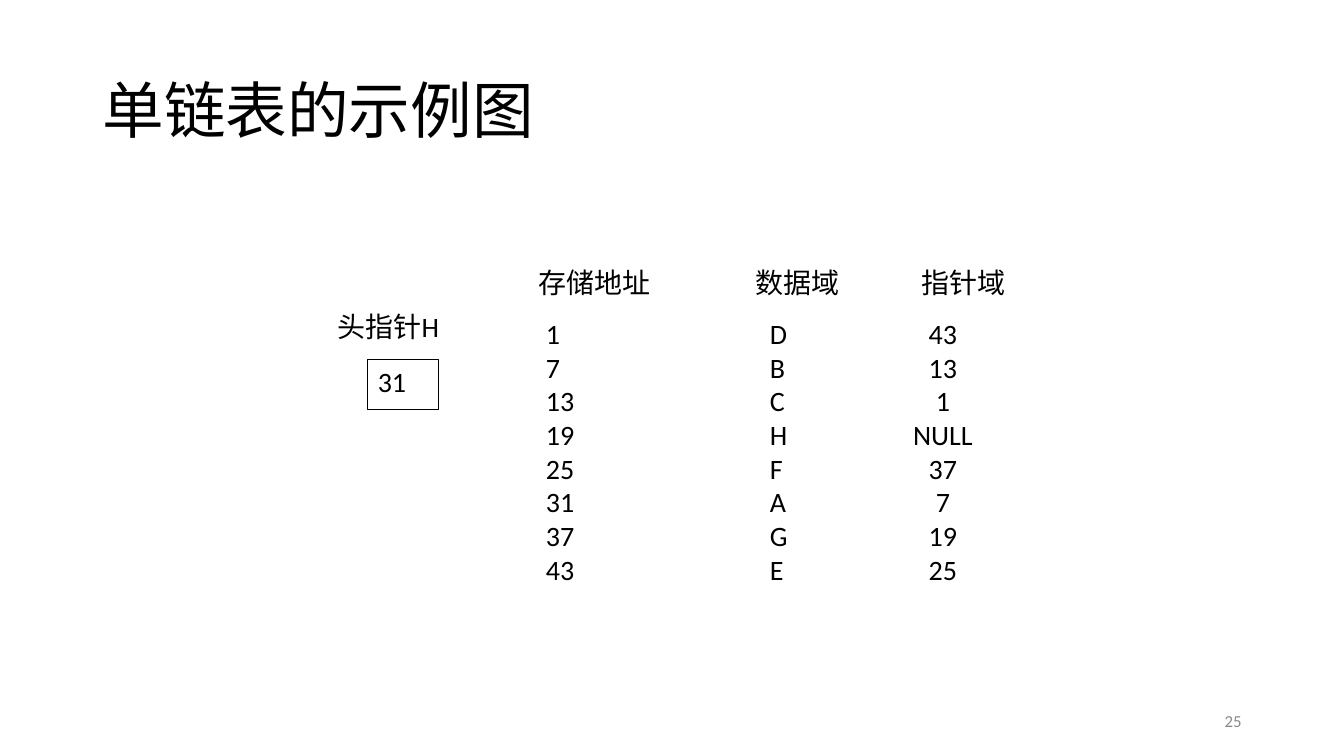
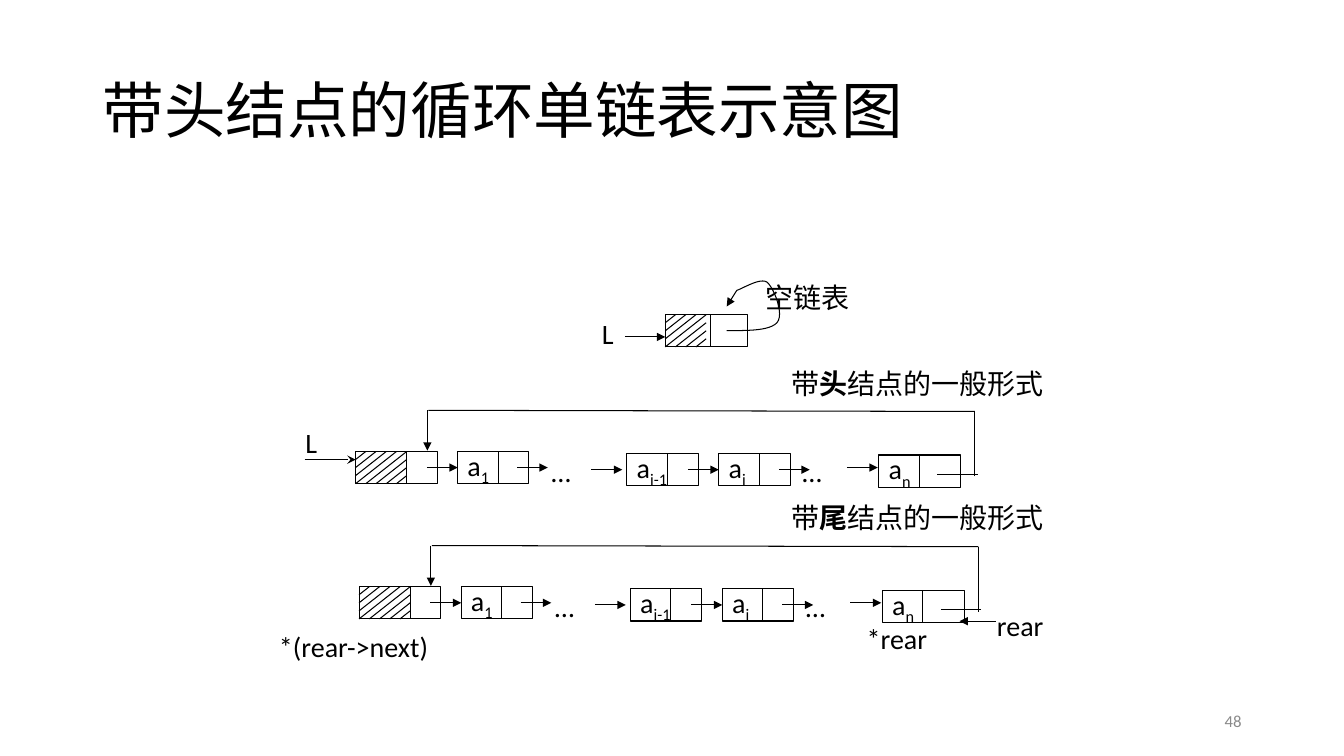
"""Build two slides on singly linked and circular linked lists."""
import dataclasses

import lxml.etree
import pptx
import pptx.dml.color
import pptx.enum.shapes
import pptx.enum.text
import pptx.oxml.ns
import pptx.util

Pt = pptx.util.Pt
qn = pptx.oxml.ns.qn
Align = pptx.enum.text.PP_ALIGN
Anchor = pptx.enum.text.MSO_ANCHOR
Kind = pptx.enum.shapes.MSO_SHAPE


@dataclasses.dataclass(frozen=True)
class Theme:
    ink: pptx.dml.color.RGBColor = pptx.dml.color.RGBColor(0, 0, 0)
    paper: pptx.dml.color.RGBColor = pptx.dml.color.RGBColor(255, 255, 255)
    grey: pptx.dml.color.RGBColor = pptx.dml.color.RGBColor(0x89, 0x89, 0x89)
    latin: str = "Calibri"
    asian: str = "Noto Sans CJK SC"
    title: int = 44
    body: int = 20
    small: int = 12
    line: float = 0.75


theme = Theme()


def write(frame, runs, align=Align.LEFT, size=theme.body, color=theme.ink):
    para = frame.paragraphs[0]
    para.alignment = align
    for text, style in runs:
        run = para.add_run()
        run.text = text
        run.font.size = Pt(size)
        run.font.bold = style == "bold"
        run.font.color.rgb = color
        run.font.name = theme.latin
        props = run._r.get_or_add_rPr()
        lxml.etree.SubElement(props, qn("a:ea"), typeface=theme.asian)
        if style == "sub":
            props.set("baseline", "-25000")
    return para


def wire(slide, x1, y1, x2, y2, head=None):
    line = slide.shapes.add_connector(
        pptx.enum.shapes.MSO_CONNECTOR.STRAIGHT, Pt(x1), Pt(y1), Pt(x2), Pt(y2))
    line.line.width = Pt(theme.line)
    line.line.color.rgb = theme.ink
    if head:
        lxml.etree.SubElement(line.line._get_or_add_ln(), qn("a:tailEnd"), type=head)
    lxml.etree.SubElement(line._element.spPr, qn("a:effectLst"))


deck = pptx.Presentation()
deck.slide_width, deck.slide_height = Pt(960), Pt(540)

pages = []
for title, number in (("单链表的示例图", "25"), ("带头结点的循环单链表示意图", "48")):
    slide = deck.slides.add_slide(deck.slide_layouts[5])
    head = slide.shapes.title
    head.left, head.top, head.width, head.height = Pt(66), Pt(28.8), Pt(828), Pt(104.4)
    head.text_frame.auto_size = pptx.enum.text.MSO_AUTO_SIZE.NONE
    head.text_frame.vertical_anchor = Anchor.MIDDLE
    write(head.text_frame, [(title, "")], size=theme.title).line_spacing = 0.9
    foot = slide.shapes.add_textbox(Pt(678), Pt(500.5), Pt(216), Pt(28.8)).text_frame
    foot.word_wrap = True
    foot.vertical_anchor = Anchor.MIDDLE
    write(foot, [(number, "")], Align.RIGHT, theme.small, theme.grey)
    pages.append(slide)
store, ring = pages

columns = [
    (152, "存储地址", 6.3, 12, 0, Align.LEFT, "1 7 13 19 25 31 37 43"),
    (120, "数据域", 9.5, 20, 0, Align.LEFT, "D B C H F A G E"),
    (80, "指针域", 8, 0, 33, Align.CENTER, "43 13 1 NULL 37 7 19 25"),
]
grid = store.shapes.add_table(9, 3, Pt(378), Pt(191.6), Pt(352), Pt(228)).table
grid.first_row = grid.horz_banding = False
for row in grid.rows:
    row.height = Pt(24)
grid.rows[0].height = Pt(36)
for c, (width, name, inset, indent, right, align, values) in enumerate(columns):
    grid.columns[c].width = Pt(width)
    for r, text in enumerate([name] + values.split()):
        cell = grid.cell(r, c)
        cell.fill.background()
        cell.margin_top = cell.margin_bottom = 0
        cell.margin_left = Pt(indent if r else inset)
        cell.margin_right = Pt(right if r else 0)
        para = write(cell.text_frame, [(text, "")], align if r else Align.LEFT)
        para.line_spacing = Pt(24)

high, wide, slim = 23, 58.5, 51
lists = [(254, 322.5), (256.5, 419.1)]
nodes = [(72.8, 0, slim, "1"), (193.7, 1.5, slim, "i-1"),
         (259.4, 1.5, slim, "i"), (373.7, 2.5, wide, "n")]
empty = (475.2, 224.8)

labels = [
    (ring, 422.9, 225, 35, 26, [("L", "")]),
    (ring, 211, 304, 28, 24, [("L", "")]),
    (ring, 705, 434.5, 51, 24, [("rear", "")]),
    (ring, 192.2, 443.8, 133, 36, [("*(rear->next)", "")]),
    (ring, 612, 443.8, 72, 24, [("*rear", "")]),
    (ring, 540, 198.3, 108, 28, [("空链表", "")]),
]
for y, word in ((259.6, "头"), (355.8, "尾")):
    labels.append((ring, 558, y, 210, 28,
                   [("带", ""), (word, "bold"), ("结点的一般形式", "")]))
plain = [(store, 234, 217.4, 98, 38.9, [("头指针H", "")])]
frames = [(store, 262.8, 256.5, 50.4, 36, [("31", "")]),
          (ring, *empty, wide, high, [])]
for x, y in lists:
    frames.append((ring, x, y, wide, high, []))
    for dx, dy, width, sub in nodes:
        frames.append((ring, x + dx, y + dy, width, high, [("a", ""), (sub, "sub")]))
    for dx in (132.8, 312):
        plain.append((ring, x + dx, y + 2.3, 44, high, [("…", "")]))

for group, edge in ((plain, theme.paper), (frames, theme.ink), (labels, None)):
    for slide, x, y, width, height, runs in group:
        area = Pt(x), Pt(y), Pt(width), Pt(height)
        if edge is None:
            shape = slide.shapes.add_textbox(*area)
        else:
            shape = slide.shapes.add_shape(Kind.RECTANGLE, *area)
            shape.shadow.inherit = False
            shape.fill.solid()
            shape.fill.fore_color.rgb = theme.paper
            shape.line.color.rgb = edge
            shape.line.width = Pt(theme.line)
        frame = shape.text_frame
        frame.word_wrap = True
        frame.vertical_anchor = Anchor.TOP
        if slide is ring:
            frame.vertical_anchor = Anchor.MIDDLE
            frame.margin_top = frame.margin_bottom = 0
        write(frame, runs)

dx, dy, rows = 7.3, 5.75, 4
for (x, y), cols in ((empty, 4), (lists[0], 5), (lists[1], 5)):
    for i in range(1, rows + cols):
        wire(ring, x + min(i, cols) * dx, y + max(i - cols, 0) * dy,
             x + max(i - rows, 0) * dx, y + min(i, rows) * dy)

arrows = [(51, 11.5), (115.3, 11.5), (168.5, 13),
          (237.4, 13), (302.4, 13), (351, 11.5)]
for x, y in lists:
    wire(ring, x + 36.5, y, x + 36.5, y + high)
    for left, top, width, sub in nodes:
        wire(ring, x + left + 29, y + top, x + left + 29, y + top + high)
    for left, top in arrows:
        wire(ring, x + left, y + top, x + left + 22, y + top, "triangle")
    wire(ring, x + 415.5, y + 16.6, x + 444.4, y + 16.6)
    wire(ring, x + 442.4, y + 17.8, x + 442.4, y - 28.3)
    wire(ring, x + 442.4, y - 28.6, x + 52, y - 29.4)
    wire(ring, x + 51.3, y - 29.4, x + 51.3, y - 0.6, "triangle")

wire(ring, 217.6, 328.3, 254, 328.3, "stealth")
wire(ring, 711.4, 443.7, 685.4, 443.7, "triangle")
wire(ring, 446.4, 240.7, 475.2, 240.7, "triangle")
wire(ring, 507.6, 225, 507.6, 247.8)
wire(ring, 526.3, 207.4, 519.1, 218.9, "triangle")

curves = [
    ((519.1, 236.2), (535, 236.2), (550, 236.2), (555.1, 230.4)),
    ((555.1, 230.4), (560.2, 224.6), (553, 205.9), (547.9, 201.6)),
    ((547.9, 201.6), (542.9, 198), (529.9, 206.6), (526.3, 207.4)),
]
steps = 12
points = []
for curve in curves:
    for i in range(1, steps + 1):
        t = i / steps
        parts = ((1 - t) ** 3, 3 * t * (1 - t) ** 2, 3 * t * t * (1 - t), t ** 3)
        points.append(tuple(Pt(sum(p * q[k] for p, q in zip(parts, curve)))
                            for k in (0, 1)))
pen = ring.shapes.build_freeform(Pt(curves[0][0][0]), Pt(curves[0][0][1]))
pen.add_line_segments(points, close=False)
loop = pen.convert_to_shape()
loop.shadow.inherit = False
loop.fill.background()
loop.line.color.rgb = theme.ink
loop.line.width = Pt(theme.line)

deck.save("out.pptx")
